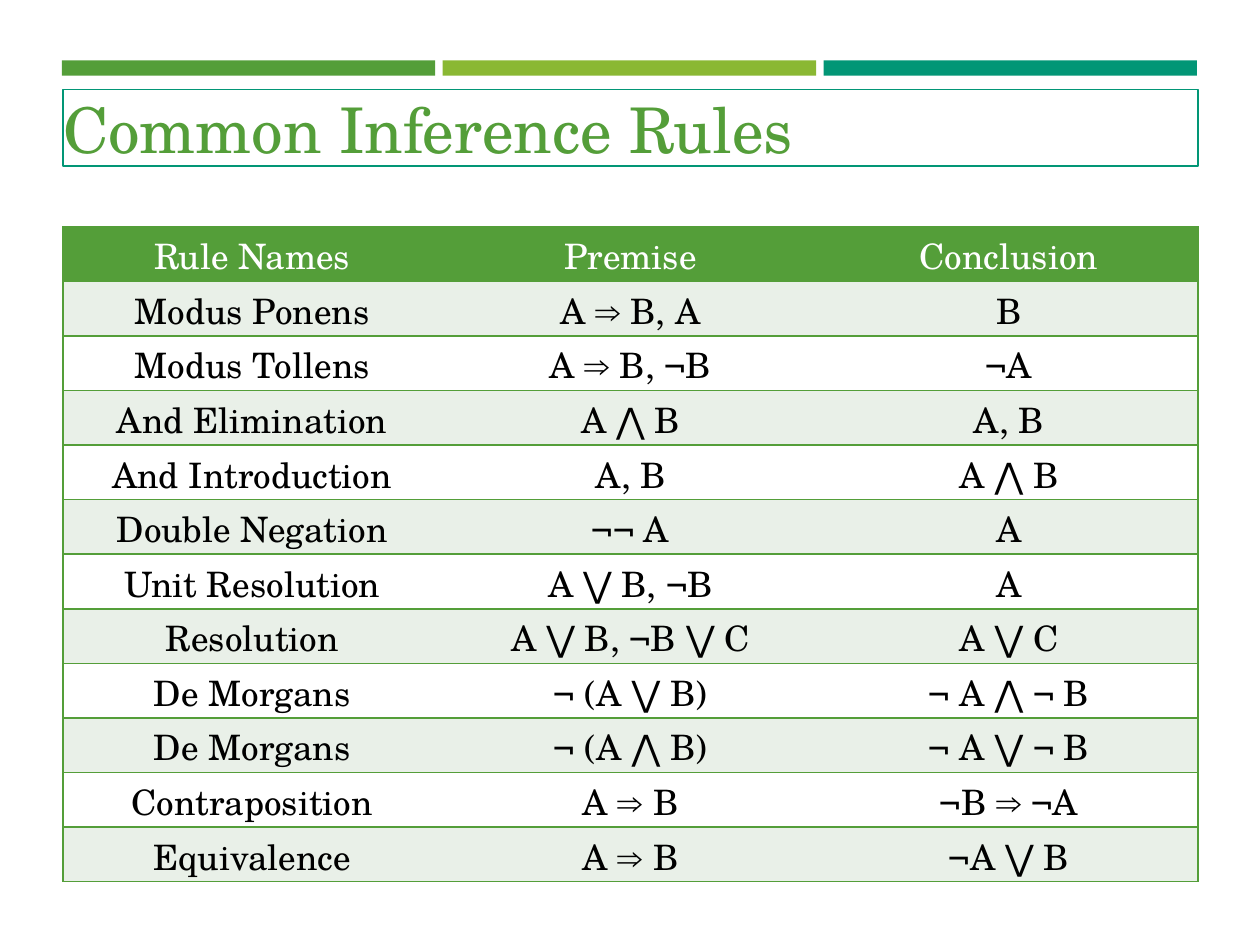
from pptx import Presentation
from pptx.dml.color import RGBColor
from pptx.enum.shapes import MSO_SHAPE
from pptx.enum.text import MSO_ANCHOR, PP_ALIGN
from pptx.oxml import parse_xml
from pptx.oxml.ns import nsdecls
from pptx.util import Inches, Pt

FONT = "TeX Gyre Schola"
GREEN, LIME, TEAL = "549E39", "8AB833", "029676"
WHITE, BLACK, BAND = "FFFFFF", "000000", "E9F0E8"
BAR_LEFT, LEFT, WIDTH, GAP = 0.49, 0.5, 9.01, 0.06
TABLE_TOP, TABLE_HEIGHT = 1.8, 5.2
RULES = [
    ("Rule Names", "Premise", "Conclusion"),
    ("Modus Ponens", "A ⇒ B, A", "B"),
    ("Modus Tollens", "A ⇒ B, ¬B", "¬A"),
    ("And Elimination", "A ⋀ B", "A, B"),
    ("And Introduction", "A, B", "A ⋀ B"),
    ("Double Negation", "¬¬ A", "A"),
    ("Unit Resolution", "A ⋁ B, ¬B", "A"),
    ("Resolution", "A ⋁ B, ¬B ⋁ C", "A ⋁ C"),
    ("De Morgans", "¬ (A ⋁ B)", "¬ A ⋀ ¬ B"),
    ("De Morgans", "¬ (A ⋀ B)", "¬ A ⋁ ¬ B"),
    ("Contraposition", "A ⇒ B", "¬B ⇒ ¬A"),
    ("Equivalence", "A ⇒ B", "¬A ⋁ B"),
]


def rgb(value):
    return RGBColor.from_string(value)


def add_run(p, text, size, color, align):
    p.alignment = align
    r = p.add_run()
    r.text = text
    r.font.name = FONT
    r.font.size = Pt(size)
    r.font.color.rgb = rgb(color)


def add_rect(s, x, y, w, h):
    sp = s.shapes.add_shape(MSO_SHAPE.RECTANGLE, *map(Inches, (x, y, w, h)))
    sp.shadow.inherit = False
    return sp


def add_bars(s):
    w = (WIDTH - 2 * GAP) / 3
    for i, color in enumerate((GREEN, LIME, TEAL)):
        sp = add_rect(s, BAR_LEFT + i * (w + GAP), 0.48, w, 0.12)
        sp.fill.solid()
        sp.fill.fore_color.rgb = rgb(color)
        sp.line.fill.background()


def add_title(s, text):
    sp = add_rect(s, LEFT, 0.71, WIDTH, 0.61)
    sp.fill.background()
    sp.line.color.rgb = rgb(TEAL)
    sp.line.width = Pt(1)
    tf = sp.text_frame
    tf.word_wrap = True
    tf.vertical_anchor = MSO_ANCHOR.MIDDLE
    tf.margin_left = tf.margin_right = tf.margin_top = tf.margin_bottom = 0
    add_run(tf.paragraphs[0], text, 36, GREEN, PP_ALIGN.LEFT)


def add_borders(cell, sides):
    tc_pr = cell._tc.get_or_add_tcPr()
    solid = f'<a:solidFill><a:srgbClr val="{GREEN}"/></a:solidFill>'
    for i, side in enumerate("LRTB"):
        paint = solid if side in sides else "<a:noFill/>"
        tc_pr.insert(i, parse_xml(
            f'<a:ln{side} {nsdecls("a")} w="12700">{paint}</a:ln{side}>'))


def add_cell(cell, text, fill, color, sides):
    cell.fill.solid()
    cell.fill.fore_color.rgb = rgb(fill)
    cell.vertical_anchor = MSO_ANCHOR.BOTTOM
    cell.margin_top = Inches(0.02)
    cell.margin_bottom = 0
    add_run(cell.text_frame.paragraphs[0], text, 20, color, PP_ALIGN.CENTER)
    add_borders(cell, sides)


def add_rules(s, rules):
    box = map(Inches, (LEFT, TABLE_TOP, WIDTH, TABLE_HEIGHT))
    table = s.shapes.add_table(len(rules), len(rules[0]), *box).table
    sides = ("LTB", "TB", "RTB")
    for i, rule in enumerate(rules):
        fill = GREEN if i == 0 else BAND if i % 2 else WHITE
        color = BLACK if i else WHITE
        for j, text in enumerate(rule):
            add_cell(table.cell(i, j), text, fill, color, sides[j])


def main():
    prs = Presentation()
    prs.slide_width, prs.slide_height = Inches(10), Inches(7.5)
    s = prs.slides.add_slide(prs.slide_layouts[6])
    add_bars(s)
    add_title(s, "Common Inference Rules")
    add_rules(s, RULES)
    prs.save("out.pptx")


if __name__ == "__main__":
    main()
